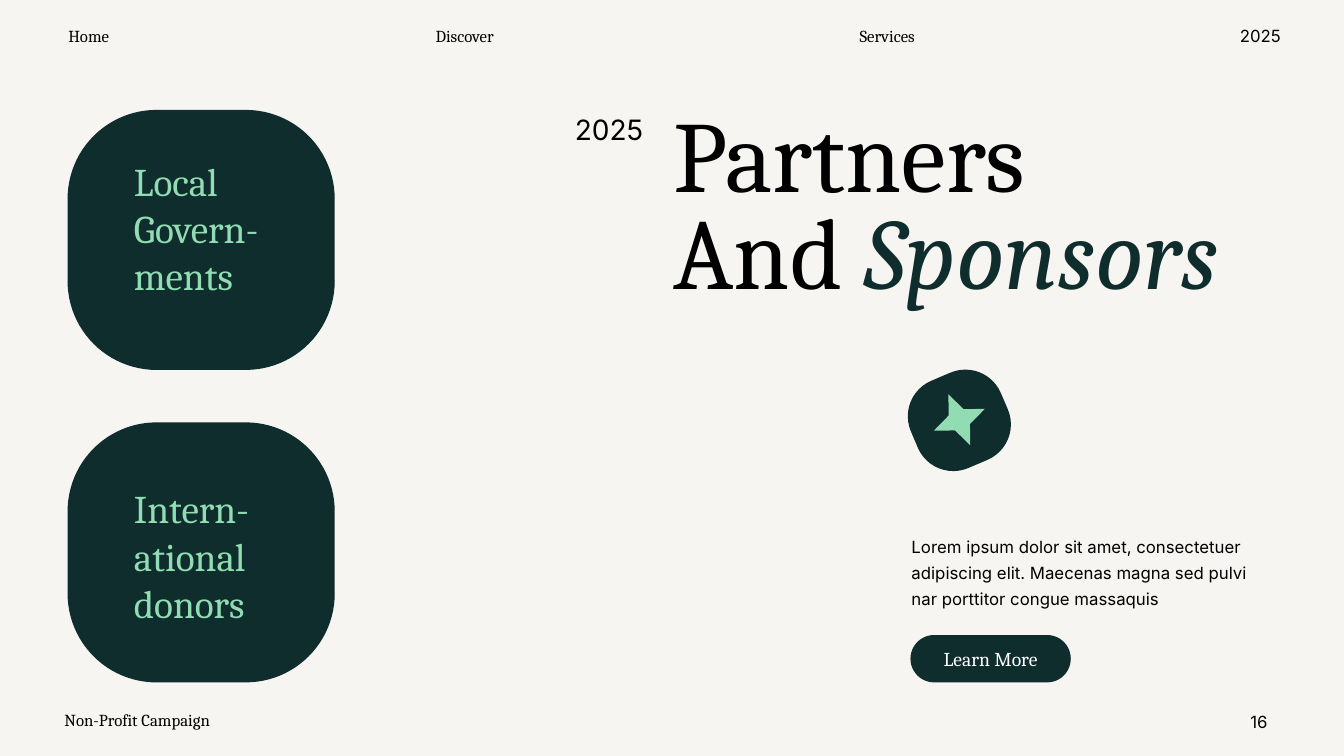
import pptx
import pptx.util
import pptx.dml.color
import pptx.enum.shapes
import pptx.enum.text
import lxml.etree

Inches = pptx.util.Inches
RGBColor = pptx.dml.color.RGBColor
SHAPE = pptx.enum.shapes.MSO_SHAPE
ALIGN = pptx.enum.text.PP_ALIGN
ANCHOR = pptx.enum.text.MSO_ANCHOR

CREAM = RGBColor(0xF6, 0xF5, 0xF1)
PINE = RGBColor(0x0F, 0x2D, 0x2D)
MINT = RGBColor(0x91, 0xDC, 0xB3)
BLACK = RGBColor(0, 0, 0)
WHITE = RGBColor(255, 255, 255)
SERIF, SANS = "Cambria", "Inter"


def write(box, lines, size, font, color=BLACK, align=ALIGN.LEFT, spacing=1.0, wrap=True, anchor=ANCHOR.TOP):
    frame = box.text_frame
    frame.auto_size = pptx.enum.text.MSO_AUTO_SIZE.NONE
    frame.word_wrap = wrap
    frame.vertical_anchor = anchor
    for index, line in enumerate(lines):
        para = frame.paragraphs[0] if index == 0 else frame.add_paragraph()
        para.alignment = align
        para.line_spacing = spacing
        para.space_before = pptx.util.Pt(0)
        for text in line:
            span = para.add_run()
            span.text = text
            span.font.size = pptx.util.Pt(size)
            span.font.name = font
            span.font.color.rgb = color


def add_solid(kind, left, top, width, height, fill, adjustment, rotation=0):
    shape = page.shapes.add_shape(kind, Inches(left), Inches(top), Inches(width), Inches(height))
    shape.shadow.inherit = False
    shape.fill.solid()
    shape.fill.fore_color.rgb = fill
    shape.line.fill.background()
    shape.adjustments[0] = adjustment
    shape.rotation = rotation
    return shape


deck = pptx.Presentation()
deck.slide_width, deck.slide_height = Inches(13.33), Inches(7.5)
page = deck.slides.add_slide(deck.slide_layouts[1])
page.background.fill.solid()
page.background.fill.fore_color.rgb = CREAM

title = page.shapes.title
title.left, title.top, title.width, title.height = Inches(6.58), Inches(1.09), Inches(6.28), Inches(2.04)
write(title, [["Partners"], ["And ", "Sponsors"]], 72, SERIF, spacing=0.8)
sponsors = title.text_frame.paragraphs[1].runs[1]
sponsors.font.italic = True
sponsors.font.color.rgb = PINE

body = page.placeholders[1]
body.left, body.top, body.width, body.height = Inches(8.94), Inches(5.21), Inches(3.74), Inches(0.86)
write(body, [
    ["Lorem ipsum dolor sit amet, consectetuer adipiscing elit. Maecenas magna sed pulvi"],
    ["nar porttitor congue massaquis"],
], 12, SANS, spacing=1.3)
for para in body.text_frame.paragraphs:
    properties = para._p.get_or_add_pPr()
    properties.set("marL", "0")
    properties.set("indent", "0")
    lxml.etree.SubElement(properties, pptx.oxml.ns.qn("a:buNone"))

for top in (1.09, 4.19):
    add_solid(SHAPE.ROUNDED_RECTANGLE, 0.67, top, 2.65, 2.58, PINE, 0.342)

labels = [
    ("Home", 0.54, 0.21, 0.68, 0.3, 12, SERIF, BLACK, ALIGN.CENTER, False),
    ("Discover", 4.16, 0.21, 0.9, 0.3, 12, SERIF, BLACK, ALIGN.CENTER, False),
    ("Services", 8.37, 0.21, 0.86, 0.3, 12, SERIF, BLACK, ALIGN.CENTER, False),
    ("2025", 12.19, 0.21, 0.62, 0.3, 12, SANS, BLACK, ALIGN.CENTER, False),
    ("Non-Profit Campaign", 0.54, 6.99, 2.89, 0.3, 12, SERIF, BLACK, ALIGN.LEFT, True),
    ("16", 11.99, 7.01, 0.68, 0.3, 12, SANS, BLACK, ALIGN.RIGHT, True),
    ("2025", 5.5, 1.07, 0.98, 0.44, 20, SANS, BLACK, ALIGN.RIGHT, True),
    ("Local Govern-ments", 1.23, 1.51, 1.72, 1.51, 28, SERIF, MINT, ALIGN.LEFT, True),
    ("Intern-ational donors", 1.23, 4.76, 1.59, 1.51, 28, SERIF, MINT, ALIGN.LEFT, True),
]
for text, left, top, width, height, size, font, color, align, wrap in labels:
    box = page.shapes.add_textbox(Inches(left), Inches(top), Inches(width), Inches(height))
    write(box, [[text]], size, font, color, align, wrap=wrap)

button = add_solid(SHAPE.ROUNDED_RECTANGLE, 9.03, 6.3, 1.59, 0.47, PINE, 0.5)
write(button, [["Learn More"]], 14, SERIF, WHITE, ALIGN.CENTER, anchor=ANCHOR.MIDDLE)

add_solid(SHAPE.ROUNDED_RECTANGLE, 9.03, 3.7, 0.97, 0.94, PINE, 0.407, 336.8)
add_solid(SHAPE.STAR_4_POINT, 9.24, 3.89, 0.55, 0.55, MINT, 0.207, 336.8)

deck.save("out.pptx")
